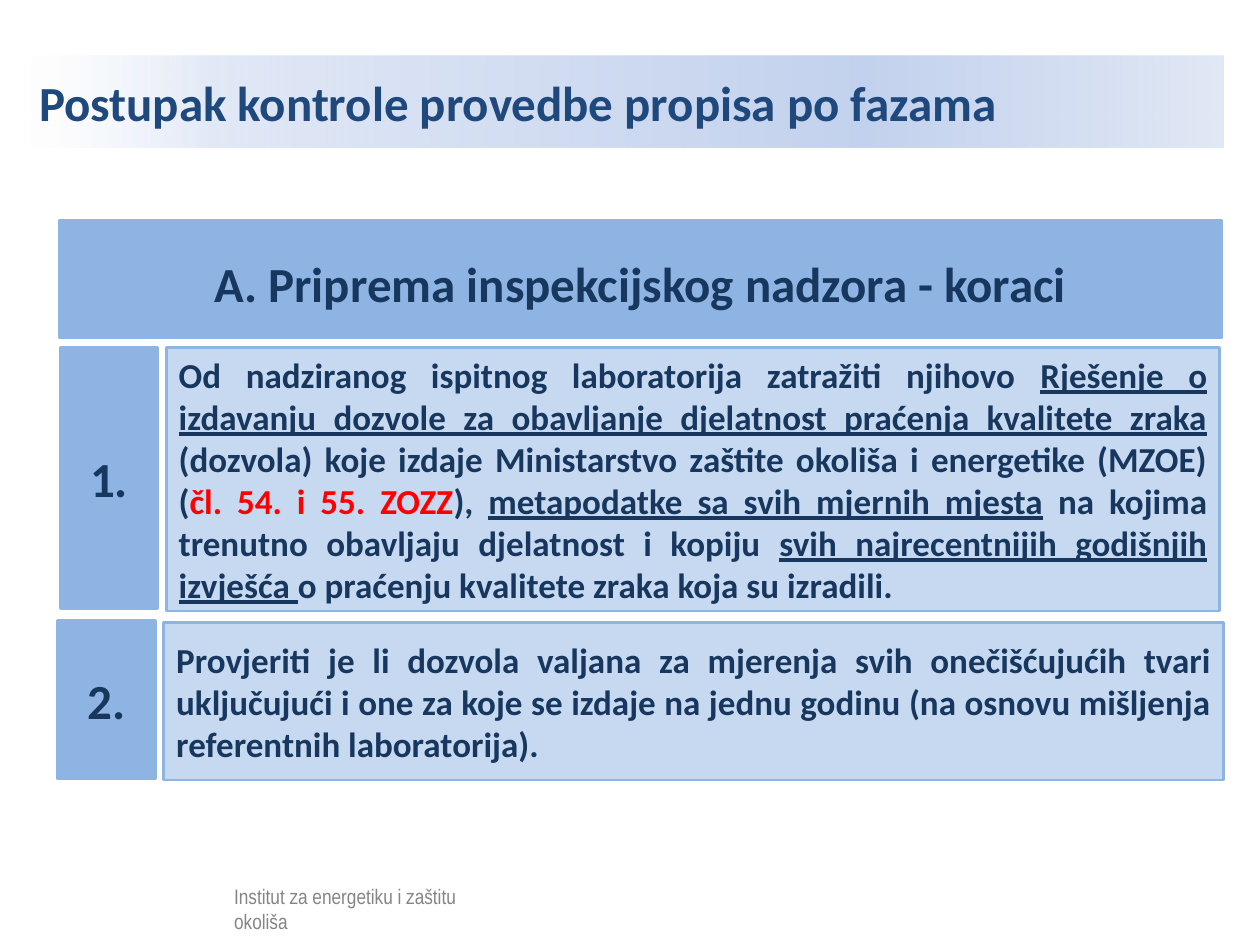
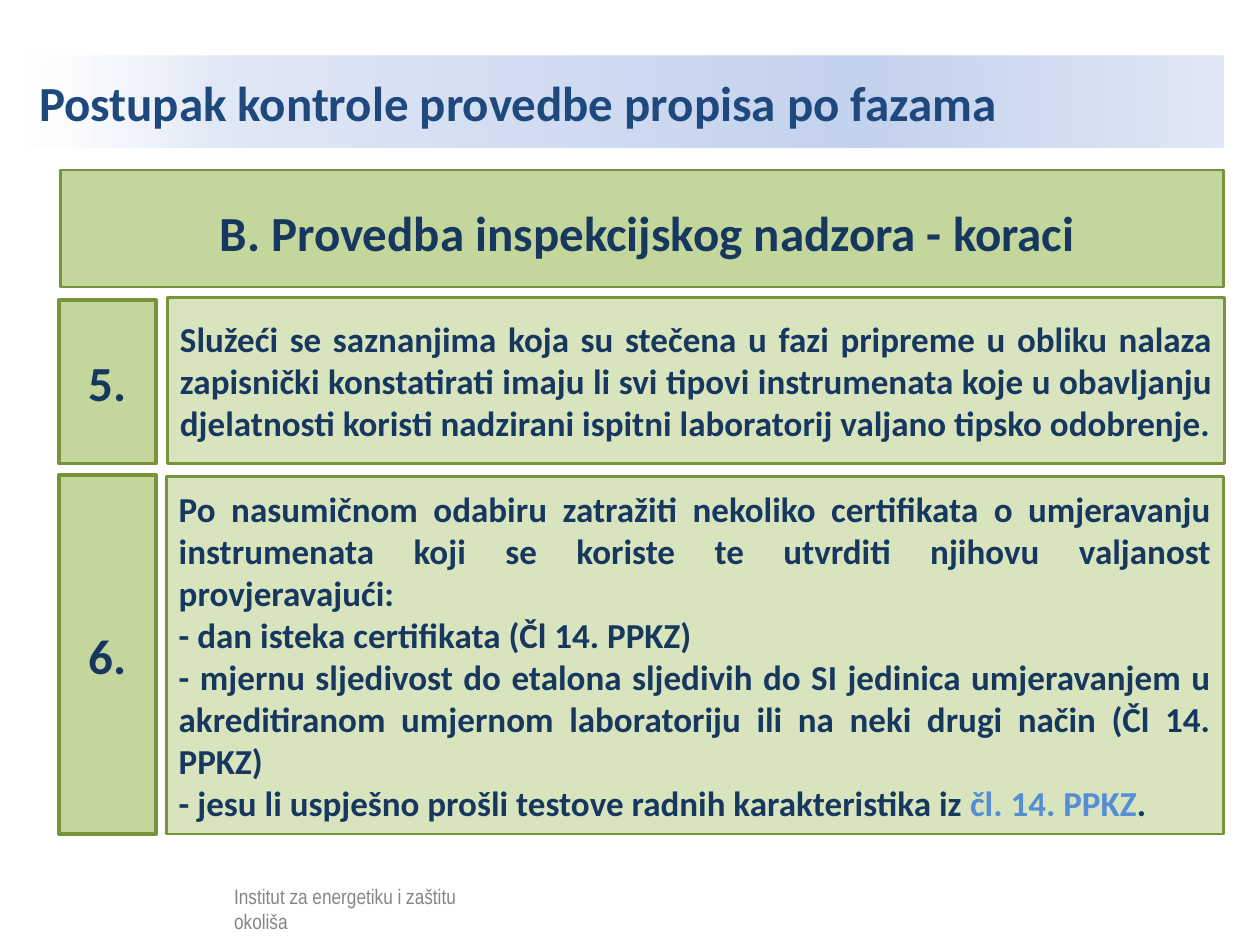
from dataclasses import dataclass
from typing import NamedTuple

from lxml.etree import SubElement
from pptx import Presentation
from pptx.dml.color import RGBColor
from pptx.enum.shapes import MSO_SHAPE
from pptx.enum.text import MSO_ANCHOR, MSO_AUTO_SIZE, PP_ALIGN
from pptx.oxml.ns import qn
from pptx.util import Emu, Pt

PX = 9144  # one px is a hundredth of an inch

COLORS = {
    "title": "1F497D", "ink": "17375E", "red": "FF0000", "link": "558ED5",
    "black": "000000", "white": "FFFFFF",
    "blue": "8EB4E3", "blue_pale": "C6D9F1",
    "green": "C3D69B", "green_pale": "D7E4BD", "green_edge": "77933C",
}
# Position in %, colour, opacity in %
TITLE_GRADIENT = [(0, "FFFFFF", 52), (16, "E1E8F6", 100),
                  (70, "C2D1ED", 100), (100, "E1E8F5", 100)]

HEADING = {"name": "Calibri", "size": Pt(28), "bold": True}
BODY = {"name": "Calibri", "size": Pt(20), "bold": True}
FOOTER = {"name": "Arial Narrow", "size": Pt(12)}
TITLE = "Postupak kontrole provedbe propisa po fazama"
FOOTER_TEXT = "Institut za energetiku i zaštitu okoliša"


class Box(NamedTuple):
    x: int
    y: int
    w: int
    h: int

    def emu(self) -> list[Emu]:
        return [Emu(v * PX) for v in self]


class Run(NamedTuple):
    text: str
    color: str = "ink"
    underline: bool = False


class Theme(NamedTuple):
    band: str
    pale: str
    edge: str


@dataclass
class Step:
    number: str
    number_box: Box
    body_box: Box
    paragraphs: list[list[Run]]


@dataclass
class Phase:
    heading: str
    band: Box
    theme: Theme
    steps: list[Step]


PHASES = [
    Phase("A. Priprema inspekcijskog nadzora - koraci", Box(47, 175, 923, 93),
          Theme("blue", "blue_pale", "blue"), [
        Step("1.", Box(48, 276, 77, 207), Box(132, 276, 836, 209), [[
            Run("Od nadziranog ispitnog laboratorija zatražiti njihovo "),
            Run("Rješenje o izdavanju dozvole za obavljanje djelatnost "
                "praćenja kvalitete zraka ", underline=True),
            Run("(dozvola) koje izdaje Ministarstvo zaštite okoliša i "
                "energetike (MZOE) ("),
            Run("čl. 54. i 55. ZOZZ", "red"),
            Run("), "),
            Run("metapodatke sa svih mjernih mjesta", underline=True),
            Run(" na kojima trenutno obavljaju djelatnost i kopiju "),
            Run("svih najrecentnijih godišnjih izvješća ", underline=True),
            Run("o praćenju kvalitete zraka koja su izradili."),
        ]]),
        Step("2.", Box(46, 493, 77, 125), Box(130, 494, 841, 125), [[
            Run("Provjeriti je li dozvola valjana za mjerenja svih "
                "onečišćujućih tvari uključujući i one za koje se izdaje na "
                "jednu godinu (na osnovu mišljenja referentnih "
                "laboratorija)."),
        ]]),
    ]),
    Phase(" B. Provedba inspekcijskog nadzora - koraci", Box(48, 135, 923, 93),
          Theme("green", "green_pale", "green_edge"), [
        Step("5.", Box(47, 238, 77, 130), Box(133, 236, 839, 132), [[
            Run("Služeći se saznanjima koja su stečena u fazi pripreme u "
                "obliku nalaza zapisnički konstatirati imaju li svi tipovi "
                "instrumenata koje u obavljanju djelatnosti koristi "
                "nadzirani ispitni laboratorij valjano tipsko odobrenje."),
        ]]),
        Step("6.", Box(47, 377, 77, 285), Box(132, 378, 839, 284), [
            [Run("Po nasumičnom odabiru zatražiti nekoliko certifikata o "
                 "umjeravanju instrumenata koji se koriste te utvrditi "
                 "njihovu valjanost provjeravajući:")],
            [Run("- dan isteka certifikata (Čl 14. PPKZ)")],
            [Run("- mjernu sljedivost do etalona sljedivih do SI jedinica "
                 "umjeravanjem u akreditiranom umjernom laboratoriju ili na "
                 "neki drugi način (Čl 14. PPKZ)")],
            [Run("- jesu li uspješno prošli testove radnih karakteristika iz "),
             Run("čl. 14. PPKZ", "link"), Run(".")],
        ]),
    ]),
]


def rgb(name: str) -> RGBColor:
    return RGBColor.from_string(COLORS[name])


def write(sp, paragraphs: list[list[Run]], fmt: dict, align: PP_ALIGN,
          anchor: MSO_ANCHOR = MSO_ANCHOR.MIDDLE) -> None:
    tf = sp.text_frame
    settings = {"word_wrap": True, "auto_size": MSO_AUTO_SIZE.NONE,
                "vertical_anchor": anchor}
    for key, value in settings.items():
        setattr(tf, key, value)
    for i, runs in enumerate(paragraphs):
        p = tf.add_paragraph() if i else tf.paragraphs[0]
        p.alignment = align
        for run in runs:
            r = p.add_run()
            r.text = run.text
            for key, value in {**fmt, "underline": run.underline}.items():
                setattr(r.font, key, value)
            r.font.color.rgb = rgb(run.color)


def add_rect(s, box: Box, fill: str, edge: str = "", width: float = 1.5):
    sp = s.shapes.add_shape(MSO_SHAPE.RECTANGLE, *box.emu())
    sp.shadow.inherit = False
    sp.fill.solid()
    sp.fill.fore_color.rgb = rgb(fill)
    if edge:
        sp.line.color.rgb = rgb(edge)
        sp.line.width = Pt(width)
    else:
        sp.line.fill.background()
    return sp


def set_alpha(color, percent: int) -> None:
    SubElement(color, qn("a:alpha")).set("val", str(percent * 1000))


def add_title(s) -> None:
    sp = s.shapes.title
    sp.left, sp.top, sp.width, sp.height = Box(21, 44, 950, 73).emu()
    write(sp, [[Run(TITLE, "title")]], HEADING, PP_ALIGN.LEFT)
    # Horizontal gradient with a translucent start
    sp.fill.gradient()
    sp.fill.gradient_angle = 0
    stops = sp.fill._fill._gradFill.find(qn("a:gsLst"))
    for stop in list(stops):
        stops.remove(stop)
    for position, value, opacity in TITLE_GRADIENT:
        stop = SubElement(stops, qn("a:gs"), pos=str(position * 1000))
        color = SubElement(stop, qn("a:srgbClr"), val=value)
        if opacity < 100:
            set_alpha(color, opacity)


def add_footer(s) -> None:
    sp = s.shapes.add_textbox(*Box(176, 696, 209, 25).emu())
    write(sp, [[Run(FOOTER_TEXT, "black")]], FOOTER, PP_ALIGN.LEFT,
          MSO_ANCHOR.TOP)
    # Translucent veil that greys the footer text
    veil = add_rect(s, Box(41, 693, 382, 48), "white")
    set_alpha(veil.fill._xPr.find(f"{qn('a:solidFill')}/{qn('a:srgbClr')}"), 52)


def add_phase(s, phase: Phase) -> None:
    theme, band = phase.theme, phase.band
    add_rect(s, band, theme.band, theme.edge)
    label = s.shapes.add_textbox(*Box(band.x, band.y + 21, 922, 57).emu())
    write(label, [[Run(phase.heading)]], HEADING, PP_ALIGN.CENTER,
          MSO_ANCHOR.TOP)
    for step in phase.steps:
        body = add_rect(s, step.body_box, theme.pale, theme.edge)
        write(body, step.paragraphs, BODY, PP_ALIGN.JUSTIFY)
        number = add_rect(s, step.number_box, theme.band, theme.edge, 2)
        write(number, [[Run(step.number)]], HEADING, PP_ALIGN.CENTER)


def main() -> None:
    prs = Presentation()
    prs.slide_width, prs.slide_height = Emu(1000 * PX), Emu(750 * PX)
    for phase in PHASES:
        s = prs.slides.add_slide(prs.slide_layouts[5])
        add_title(s)
        add_footer(s)
        add_phase(s, phase)
    prs.save("out.pptx")


if __name__ == "__main__":
    main()
